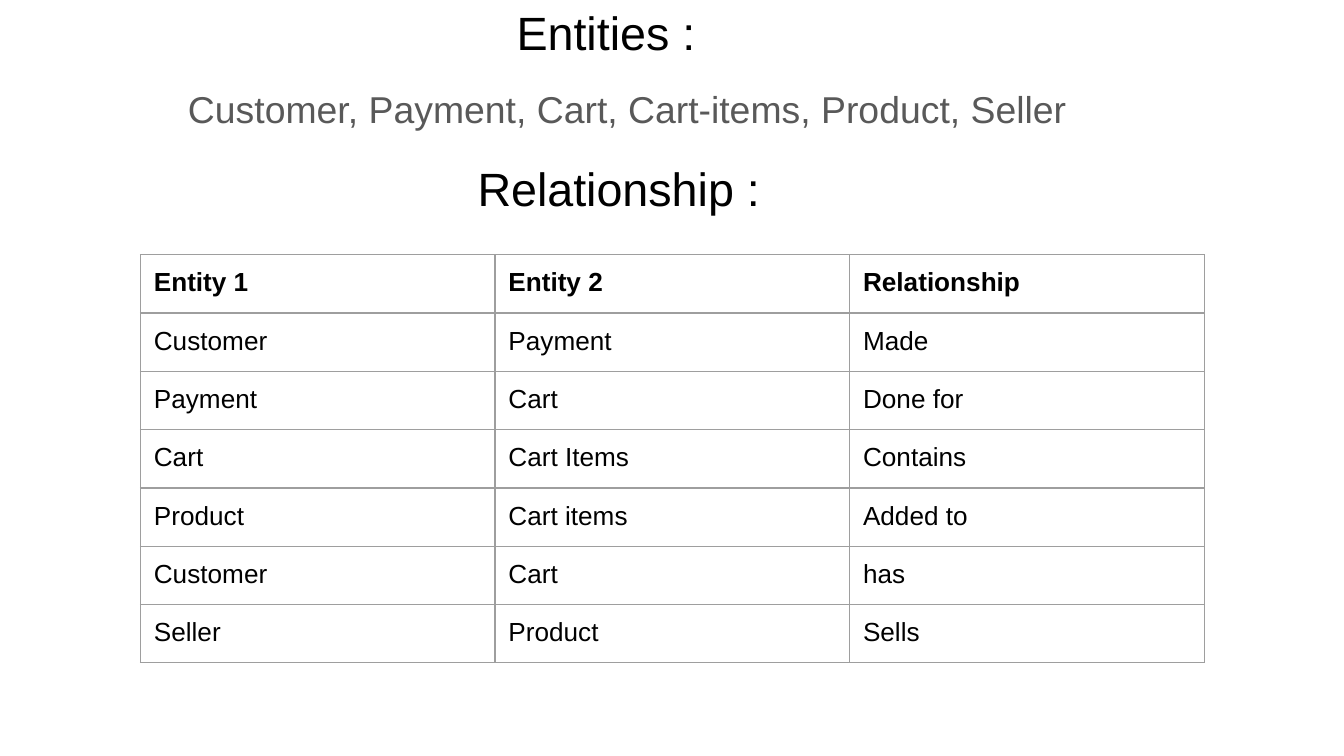
from lxml import etree
from pptx import Presentation
from pptx.dml.color import RGBColor
from pptx.enum.text import MSO_ANCHOR as Anchor
from pptx.oxml.ns import qn
from pptx.util import Pt

PX = 4572
INSET = 20
ROWS = [
    ("Entity 1", "Entity 2", "Relationship"),
    ("Customer", "Payment", "Made"),
    ("Payment", "Cart", "Done for"),
    ("Cart", "Cart Items", "Contains"),
    ("Product", "Cart items", "Added to"),
    ("Customer", "Cart", "has"),
    ("Seller", "Product", "Sells"),
]


def px(n):
    return n * PX


def color(value):
    return RGBColor.from_string(value)


def set_insets(target):
    for side in ("left", "top", "right", "bottom"):
        setattr(target, f"margin_{side}", px(INSET))


def style(p, size, fill, bold=False):
    p.font.name = "Arial"
    p.font.size = Pt(size)
    p.font.bold = bold
    p.font.color.rgb = color(fill)


def add_line(slide, box, text, size, fill="000000", anchor=Anchor.TOP, indent=0):
    tf = slide.shapes.add_textbox(*map(px, box)).text_frame
    tf.word_wrap = True
    tf.vertical_anchor = anchor
    set_insets(tf)
    p = tf.paragraphs[0]
    p.text = text
    style(p, size, fill)
    if indent:
        pPr = p._p.get_or_add_pPr()
        pPr.set("marL", str(px(indent)))
        pPr.set("indent", "0")


def set_borders(cell, fill, width):
    tcPr = cell._tc.get_or_add_tcPr()
    for i, tag in enumerate(("a:lnL", "a:lnR", "a:lnT", "a:lnB")):
        ln = etree.Element(qn(tag), w=str(Pt(width)))
        solid = etree.SubElement(ln, qn("a:solidFill"))
        etree.SubElement(solid, qn("a:srgbClr"), val=fill)
        tcPr.insert(i, ln)


def add_relationships(slide, box, rows):
    frame = slide.shapes.add_table(len(rows), len(rows[0]), *map(px, box))
    table = frame.table
    table.horz_banding = False
    for r, row in enumerate(rows):
        for c, text in enumerate(row):
            cell = table.cell(r, c)
            cell.fill.background()
            set_insets(cell)
            set_borders(cell, "9E9E9E", 0.75)
            p = cell.text_frame.paragraphs[0]
            p.text = text
            style(p, 14, "000000", bold=r == 0)


def build_slide(prs):
    slide = prs.slides.add_slide(prs.slide_layouts[6])
    add_line(slide, (549, 0, 1010, 109), "Entities :", 25,
             anchor=Anchor.BOTTOM, indent=200)
    add_line(slide, (260, 108, 1864, 108),
             "Customer, Payment, Cart, Cart-items, Product, Seller", 20, "595959")
    add_line(slide, (691, 218, 814, 208), "Relationship :", 25)
    add_relationships(slide, (209, 379, 1583, 588), ROWS)


def main():
    prs = Presentation()
    prs.slide_width, prs.slide_height = px(2000), px(1125)
    build_slide(prs)
    prs.save("out.pptx")


if __name__ == "__main__":
    main()
